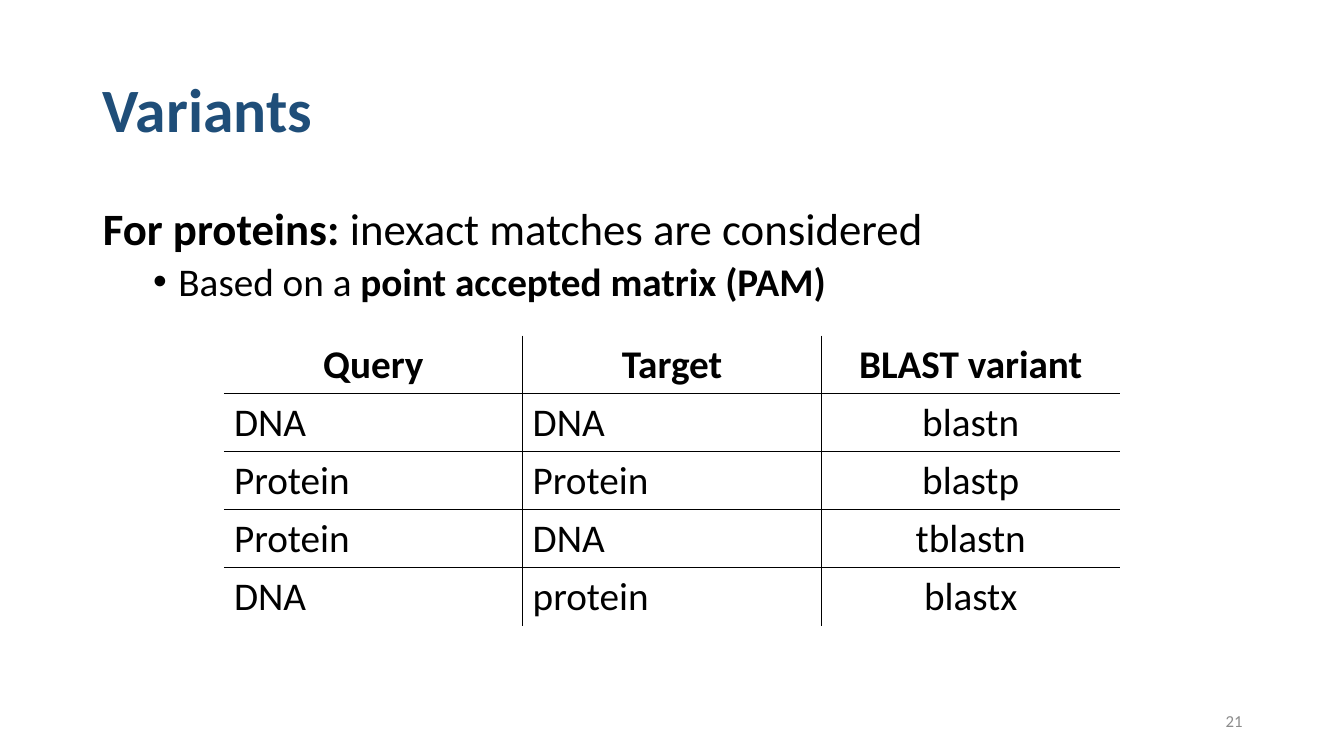
import dataclasses

import lxml.etree
import pptx
import pptx.dml.color
import pptx.enum.text
import pptx.oxml.ns
import pptx.util

ALIGN = pptx.enum.text.PP_ALIGN
ANCHOR = pptx.enum.text.MSO_ANCHOR
WIDTH = pptx.util.Inches(13.33)
HEIGHT = pptx.util.Inches(7.5)


@dataclasses.dataclass(frozen=True)
class Theme:
    font: str = "Calibri"
    title_color: str = "1F4E79"
    text_color: str = "000000"
    number_color: str = "8C8C8C"
    title_size: int = 44
    lead_size: int = 32
    detail_size: int = 28
    number_size: int = 12
    border_width: int = 1


THEME = Theme()

VARIANTS = [
    ("Query", "Target", "BLAST variant"),
    ("DNA", "DNA", "blastn"),
    ("Protein", "Protein", "blastp"),
    ("Protein", "DNA", "tblastn"),
    ("DNA", "protein", "blastx"),
]


def share(left, top, width, height):
    """Turn shares of the slide's size into lengths."""
    return (round(left * WIDTH), round(top * HEIGHT),
            round(width * WIDTH), round(height * HEIGHT))


def place(shape, box):
    shape.left, shape.top, shape.width, shape.height = box


def format_run(run, size, color=THEME.text_color, bold=False):
    run.font.name = THEME.font
    run.font.size = pptx.util.Pt(size)
    run.font.bold = bold
    run.font.color.rgb = pptx.dml.color.RGBColor.from_string(color)


def add_title(slide, text):
    title = slide.shapes.title
    place(title, share(0.069, 0.053, 0.863, 0.193))
    title.text_frame.text = text
    title.text_frame.vertical_anchor = ANCHOR.MIDDLE
    title.text_frame.auto_size = pptx.enum.text.MSO_AUTO_SIZE.NONE
    paragraph = title.text_frame.paragraphs[0]
    paragraph.alignment = ALIGN.LEFT
    paragraph.line_spacing = 0.9
    format_run(paragraph.runs[0], THEME.title_size, THEME.title_color, True)


def fill_paragraph(paragraph, parts, size, space_before):
    """Write (text, bold) parts into one paragraph."""
    paragraph.line_spacing = 0.9
    paragraph.space_before = pptx.util.Pt(space_before)
    for text, bold in parts:
        run = paragraph.add_run()
        run.text = text
        format_run(run, size, bold=bold)


def set_bullet(paragraph, character=None, margin=0, indent=0):
    properties = paragraph._p.get_or_add_pPr()
    properties.set("marL", str(pptx.util.Inches(margin)))
    properties.set("indent", str(pptx.util.Inches(indent)))
    if character is None:
        lxml.etree.SubElement(properties, pptx.oxml.ns.qn("a:buNone"))
        return
    font = lxml.etree.SubElement(properties, pptx.oxml.ns.qn("a:buFont"))
    font.set("typeface", "Arial")
    bullet = lxml.etree.SubElement(properties, pptx.oxml.ns.qn("a:buChar"))
    bullet.set("char", character)


def add_body(slide):
    body = slide.placeholders[1]
    place(body, share(0.069, 0.267, 0.863, 0.635))
    text_frame = body.text_frame
    text_frame.auto_size = pptx.enum.text.MSO_AUTO_SIZE.NONE

    lead = text_frame.paragraphs[0]
    fill_paragraph(lead, [("For proteins:", True),
                          (" inexact matches are considered", False)],
                   THEME.lead_size, 10)
    set_bullet(lead)

    detail = text_frame.add_paragraph()
    detail.level = 1
    fill_paragraph(detail, [("Based on a ", False),
                            ("point accepted matrix (PAM)", True)],
                   THEME.detail_size, 5)
    set_bullet(detail, "•", 0.75, -0.25)


def set_borders(cell, visible_sides):
    properties = cell._tc.get_or_add_tcPr()
    for side in "LRTB":
        line = lxml.etree.SubElement(properties, pptx.oxml.ns.qn(f"a:ln{side}"))
        line.set("w", str(pptx.util.Pt(THEME.border_width)))
        if side in visible_sides:
            fill = lxml.etree.SubElement(line, pptx.oxml.ns.qn("a:solidFill"))
            color = lxml.etree.SubElement(fill, pptx.oxml.ns.qn("a:srgbClr"))
            color.set("val", THEME.text_color)
        else:
            lxml.etree.SubElement(line, pptx.oxml.ns.qn("a:noFill"))


def add_inner_grid_table(slide, rows, box):
    """Add a table ruled only between its cells."""
    last_row, last_column = len(rows) - 1, len(rows[0]) - 1
    table = slide.shapes.add_table(len(rows), len(rows[0]), *box).table
    table.horz_banding = False
    table.first_row = False
    for row, texts in enumerate(rows):
        for column, text in enumerate(texts):
            cell = table.cell(row, column)
            inner = {"L": column > 0, "R": column < last_column,
                     "T": row > 0, "B": row < last_row}
            set_borders(cell, [side for side in inner if inner[side]])
            cell.fill.background()
            cell.text_frame.text = text
            paragraph = cell.text_frame.paragraphs[0]
            centred = row == 0 or column == last_column
            paragraph.alignment = ALIGN.CENTER if centred else ALIGN.LEFT
            format_run(paragraph.runs[0], THEME.detail_size, bold=row == 0)


def add_slide_number(slide, text):
    box = slide.shapes.add_textbox(*share(0.707, 0.927, 0.225, 0.053))
    text_frame = box.text_frame
    text_frame.word_wrap = True
    text_frame.vertical_anchor = ANCHOR.MIDDLE
    text_frame.text = text
    paragraph = text_frame.paragraphs[0]
    paragraph.alignment = ALIGN.RIGHT
    format_run(paragraph.runs[0], THEME.number_size, THEME.number_color)


def main():
    presentation = pptx.Presentation()
    presentation.slide_width, presentation.slide_height = WIDTH, HEIGHT
    slide = presentation.slides.add_slide(presentation.slide_layouts[1])

    # Heading and statement
    add_title(slide, "Variants")
    add_body(slide)

    # Query and target types with the matching program
    add_inner_grid_table(slide, VARIANTS, share(1 / 6, 0.444, 2 / 3, 0.384))

    # Footer
    add_slide_number(slide, "21")
    presentation.save("out.pptx")


if __name__ == "__main__":
    main()
